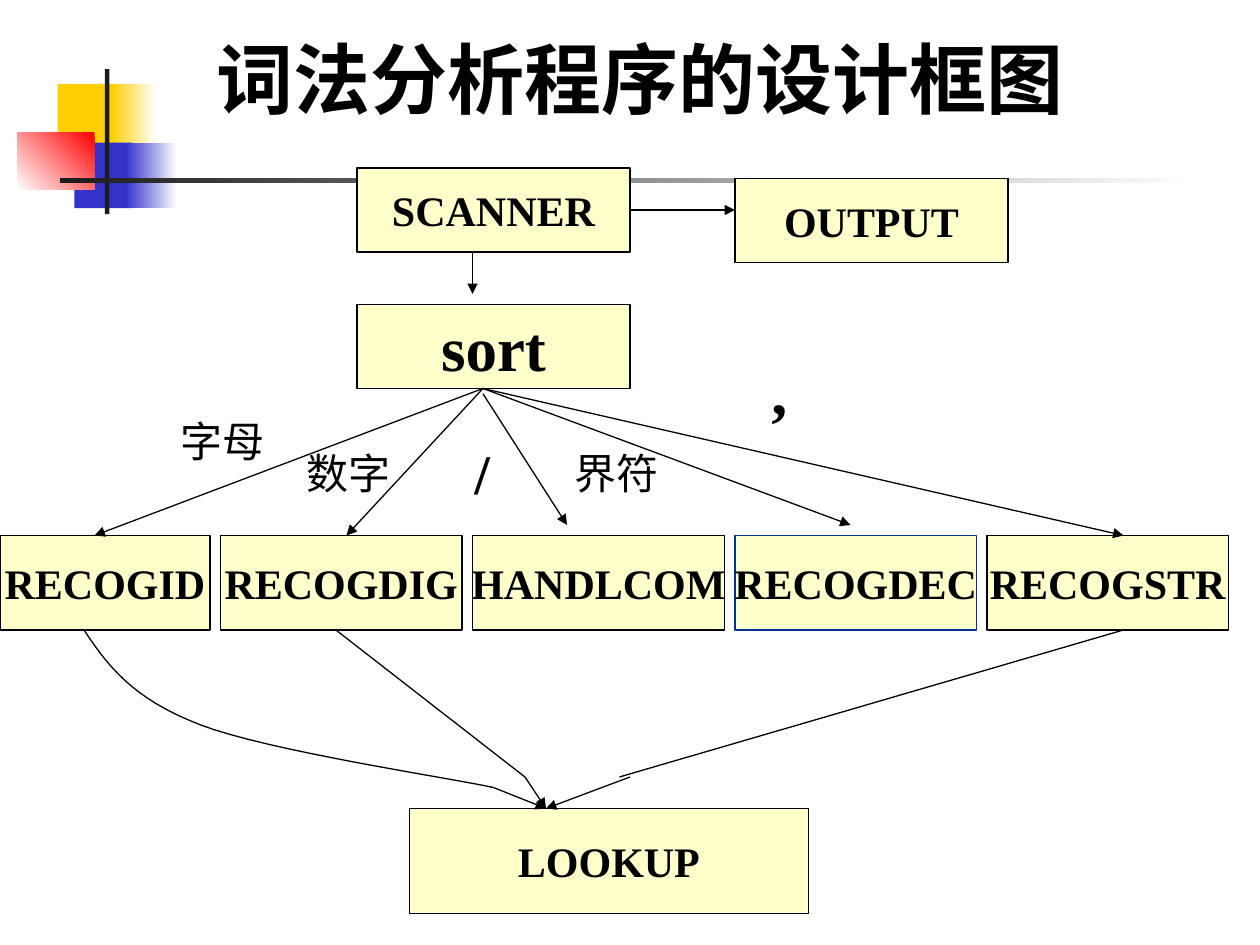
from lxml import etree
from pptx import Presentation
from pptx.dml.color import RGBColor
from pptx.enum.shapes import MSO_CONNECTOR, MSO_SHAPE
from pptx.enum.text import MSO_ANCHOR, PP_ALIGN
from pptx.oxml.ns import qn
from pptx.util import Pt

THEME = {
    "font": "Times New Roman", "title": 44, "large": 36, "slash": 32, "body": 24,
    "ink": "000000", "box": "FFFFCC", "accent": "003399", "white": "FFFFFF",
    "yellow": "FFCF01", "blue": "3333CC", "red": "FF0000", "bar": "1C1C1C",
    "line": 0.75,
}

# Content: all lengths in points
TITLE = ("词法分析程序的设计框图", 116.6, 14.4, 499, 60.5)

# left, top, width, height, first colour, last colour, gradient angle
ORNAMENTS = [
    (33, 48, 34.5, 37.5, "yellow", None, 0),
    (63.5, 48, 26, 37.5, "white", "yellow", 180),
    (42.5, 81.5, 33, 37.5, "blue", None, 0),
    (72, 81.5, 29, 37.5, "white", "blue", 180),
    (10, 75.5, 44, 33, "red", "white", 225),
    (60, 39.5, 2.5, 83, "bar", None, 0),
    (34.5, 102, 648, 2.8, "white", "bar", 180),
]

# text, left, top, width, height, size
BOXES = [
    ("SCANNER", 204, 96, 156, 48, "body"),
    ("OUTPUT", 420, 102, 156, 48, "body"),
    ("sort", 204, 174, 156, 48, "large"),
    ("LOOKUP", 234, 462, 228, 60, "body"),
]

# text, width, outline
RECOGNIZERS = [
    ("RECOGID", 120, "ink"),
    ("RECOGDIG", 138, "ink"),
    ("HANDLCOM", 144, "ink"),
    ("RECOGDEC", 138, "accent"),
    ("RECOGSTR", 138, "ink"),
]
ROW_TOP, ROW_HEIGHT, ROW_GAP = 306, 54, 6

# text, left, top, width, height, size, bold
LABELS = [
    ("字母", 96, 234, 72, 36, "body", False),
    ("数字", 168, 252, 66, 36, "body", False),
    ("/", 264, 247, 78, 46, "slash", True),
    ("界符", 321, 252, 78, 36, "body", False),
    ("’", 432, 216, 72, 50.5, "large", True),
]

SORT_EXIT, LOOKUP_ENTRY = (276, 222), (312, 462)
ARROWS = [
    ((360, 120), (420, 120)),
    ((270, 144), (270, 168)),
    (SORT_EXIT, (54, 306)),
    (SORT_EXIT, (198, 306)),
    ((276, 225), (324, 300)),
    (SORT_EXIT, (486, 300)),
    (SORT_EXIT, (642, 306)),
    ((282, 450), LOOKUP_ENTRY),
    ((300, 444), LOOKUP_ENTRY),
    ((360, 444), LOOKUP_ENTRY),
]

# Start point, then Bezier segments of two controls and an end point
CURVES = [
    ((48, 360), [((61, 379.5), (75, 399), (114, 414)),
                 ((152.5, 429), (254, 444), (282, 450))]),
    ((192, 360), [((237, 395), (282, 430), (300, 444))]),
    ((354, 444), [((474, 409), (594, 374), (642, 360))]),
]
CURVE_STEPS = 16


def color(name):
    return RGBColor.from_string(THEME[name])


def set_text(shape, text, size, bold, align=PP_ALIGN.LEFT, wrap=False):
    frame = shape.text_frame
    frame.text = text
    frame.word_wrap = wrap
    paragraph = frame.paragraphs[0]
    paragraph.alignment = align
    font = paragraph.runs[0].font
    font.name, font.size, font.bold = THEME["font"], Pt(THEME[size]), bold
    font.color.rgb = color("ink")


def set_line(line, name="ink"):
    line.color.rgb = color(name)
    line.width = Pt(THEME["line"])


def add_rectangle(shapes, *bounds):
    rectangle = shapes.add_shape(MSO_SHAPE.RECTANGLE, *map(Pt, bounds))
    rectangle.shadow.inherit = False
    return rectangle


def add_ornament(shapes, left, top, width, height, first, last, angle):
    ornament = add_rectangle(shapes, left, top, width, height)
    ornament.line.fill.background()
    if last is None:
        ornament.fill.solid()
        ornament.fill.fore_color.rgb = color(first)
        return
    ornament.fill.gradient()
    ornament.fill.gradient_angle = angle
    for stop, name, position in zip(ornament.fill.gradient_stops, (first, last), (0, 1)):
        stop.color.rgb = color(name)
        stop.position = position


def add_box(shapes, text, left, top, width, height, size, outline="ink"):
    box = add_rectangle(shapes, left, top, width, height)
    box.fill.solid()
    box.fill.fore_color.rgb = color("box")
    set_line(box.line, outline)
    set_text(box, text, size, True, PP_ALIGN.CENTER)
    box.text_frame.vertical_anchor = MSO_ANCHOR.MIDDLE


def add_label(shapes, text, left, top, width, height, size, bold, wrap=True):
    label = shapes.add_textbox(*map(Pt, (left, top, width, height)))
    set_text(label, text, size, bold, wrap=wrap)


def add_arrow(shapes, start, end):
    arrow = shapes.add_connector(MSO_CONNECTOR.STRAIGHT, *map(Pt, start + end))
    set_line(arrow.line)
    etree.SubElement(arrow.line._get_or_add_ln(), qn("a:tailEnd"), type="triangle")
    etree.SubElement(arrow._element.spPr, qn("a:effectLst"))


def bezier(t, *points):
    weights = ((1 - t) ** 3, 3 * t * (1 - t) ** 2, 3 * t ** 2 * (1 - t), t ** 3)
    return tuple(Pt(sum(w * v for w, v in zip(weights, axis))) for axis in zip(*points))


def add_curve(shapes, start, segments):
    builder = shapes.build_freeform(*map(Pt, start))
    for segment in segments:
        builder.add_line_segments(
            [bezier(step / CURVE_STEPS, start, *segment)
             for step in range(1, CURVE_STEPS + 1)], close=False)
        start = segment[-1]
    curve = builder.convert_to_shape()
    curve.shadow.inherit = False
    curve.fill.background()
    set_line(curve.line)


def main():
    prs = Presentation()
    prs.slide_width, prs.slide_height = Pt(720), Pt(540)
    shapes = prs.slides.add_slide(prs.slide_layouts[6]).shapes

    # Corner ornament and title
    for ornament in ORNAMENTS:
        add_ornament(shapes, *ornament)
    add_label(shapes, *TITLE, "title", True, wrap=False)

    # Main stages
    for box in BOXES:
        add_box(shapes, *box)

    # Row of recognizers
    left = 0
    for text, width, outline in RECOGNIZERS:
        add_box(shapes, text, left, ROW_TOP, width, ROW_HEIGHT, "body", outline)
        left += width + ROW_GAP

    # Flow lines and their labels
    for start, end in ARROWS:
        add_arrow(shapes, start, end)
    for start, segments in CURVES:
        add_curve(shapes, start, segments)
    for label in LABELS:
        add_label(shapes, *label)

    prs.save("out.pptx")


if __name__ == "__main__":
    main()
